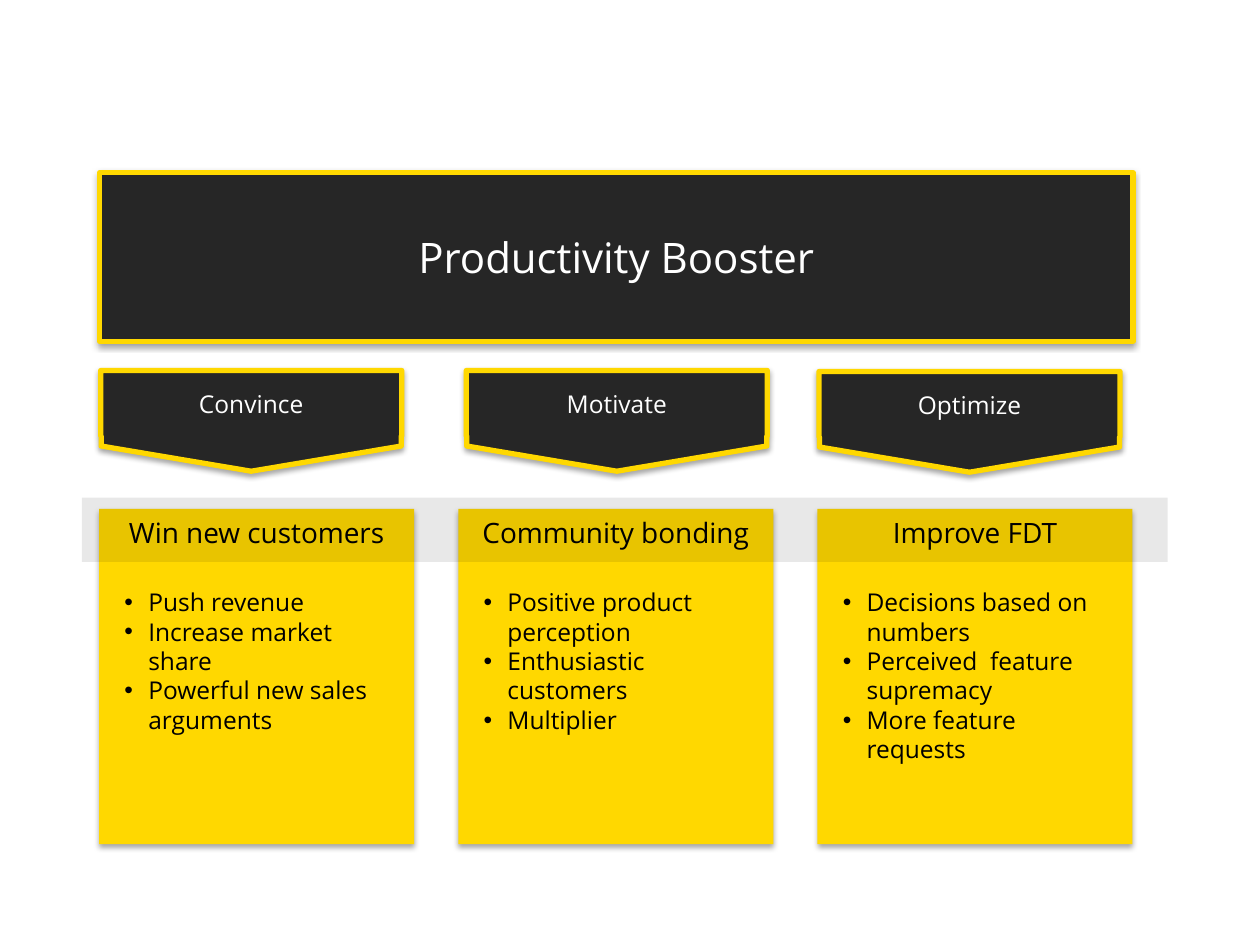
"""Build the Productivity Booster slide with three benefit columns."""
from lxml import etree
from pptx import Presentation
from pptx.dml.color import RGBColor
from pptx.enum.shapes import MSO_SHAPE
from pptx.enum.text import MSO_ANCHOR, PP_ALIGN
from pptx.oxml.ns import qn
from pptx.util import Cm, Pt

YELLOW, DARK, BLACK, WHITE = "FFD800", "262626", "000000", "FFFFFF"


def add_box(kind, left, top, width, height, fill, outlined=False, shadow=True):
    shape = slide.shapes.add_shape(kind, Cm(left), Cm(top), Cm(width), Cm(height))
    shape.shadow.inherit = False
    shape.fill.solid()
    shape.fill.fore_color.rgb = RGBColor.from_string(fill)
    if outlined:
        shape.line.color.rgb = RGBColor.from_string(YELLOW)
        shape.line.width = Pt(3)
        frame = shape.text_frame
        frame.margin_left = frame.margin_right = frame.margin_top = frame.margin_bottom = 0
        frame.word_wrap = False
    else:
        shape.line.fill.background()
    if shadow:
        effects = shape.element.spPr.find(qn("a:effectLst"))
        outer = etree.SubElement(effects, qn("a:outerShdw"), blurRad=str(Pt(3.1)),
                                 dist=str(Pt(1.8)), dir="5400000", rotWithShape="0")
        color = etree.SubElement(outer, qn("a:srgbClr"), val=BLACK)
        etree.SubElement(color, qn("a:alpha"), val="35000")
    return shape


def add_text(paragraph, text, size, color, alignment=PP_ALIGN.CENTER):
    paragraph.alignment = alignment
    run = paragraph.add_run()
    run.text = text
    run.font.name = "Open Sans"
    run.font.size = Pt(size)
    run.font.color.rgb = RGBColor.from_string(color)


presentation = Presentation()
presentation.slide_width, presentation.slide_height = Cm(25.4), Cm(19.05)
slide = presentation.slides.add_slide(presentation.slide_layouts[6])

columns = [
    ("Convince", 2.03, 7.47, "Win new customers",
     ["Push revenue", "Increase market share", "Powerful new sales arguments"]),
    ("Motivate", 9.4, 7.47, "Community bonding",
     ["Positive product perception", "Enthusiastic customers", "Multiplier"]),
    ("Optimize", 16.51, 7.49, "Improve FDT",
     ["Decisions based on numbers", "Perceived  feature supremacy", "More feature requests"]),
]

banner = add_box(MSO_SHAPE.RECTANGLE, 2.01, 3.48, 20.83, 3.4, DARK, outlined=True)
add_text(banner.text_frame.paragraphs[0], "Productivity Booster", 24, WHITE)

for index, (goal, callout_left, callout_top, heading, benefits) in enumerate(columns):
    card = add_box(MSO_SHAPE.RECTANGLE, 2 + 7.24 * index, 10.26, 6.35, 6.76, YELLOW)
    frame = card.text_frame
    frame.word_wrap = True
    frame.vertical_anchor = MSO_ANCHOR.TOP
    add_text(frame.paragraphs[0], heading, 16, BLACK)
    frame.paragraphs[0].space_after = Pt(22)
    for benefit in benefits:
        paragraph = frame.add_paragraph()
        add_text(paragraph, benefit, 14, BLACK, PP_ALIGN.LEFT)
        properties = paragraph._p.get_or_add_pPr()
        properties.set("marL", str(Cm(0.74)))
        properties.set("indent", str(Cm(-0.48)))
        etree.SubElement(properties, qn("a:buFont"), typeface="Arial")
        etree.SubElement(properties, qn("a:buChar"), char="•")

    callout = add_box(MSO_SHAPE.DOWN_ARROW_CALLOUT, callout_left, callout_top, 6.07, 2.03,
                      DARK, outlined=True)
    for position, value in enumerate((2.99, 1.49, 0.25, 0.65)):
        callout.adjustments[position] = value
    add_text(callout.text_frame.paragraphs[0], goal, 14, WHITE)

band = add_box(MSO_SHAPE.RECTANGLE, 1.65, 10.03, 21.89, 1.3, BLACK, shadow=False)
band_color = band.element.spPr.find(qn("a:solidFill")).find(qn("a:srgbClr"))
etree.SubElement(band_color, qn("a:alpha"), val="9000")

presentation.save("out.pptx")
